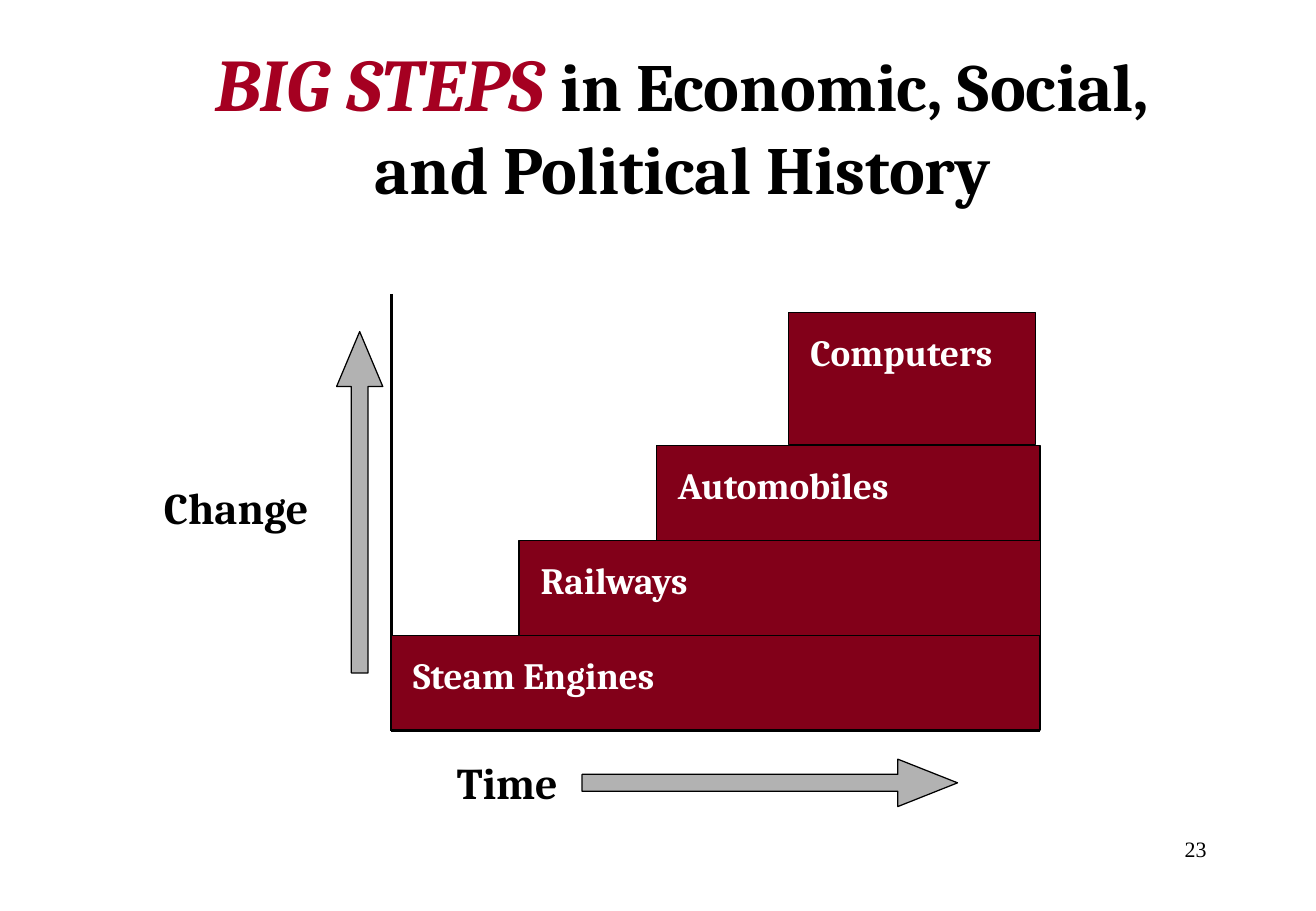
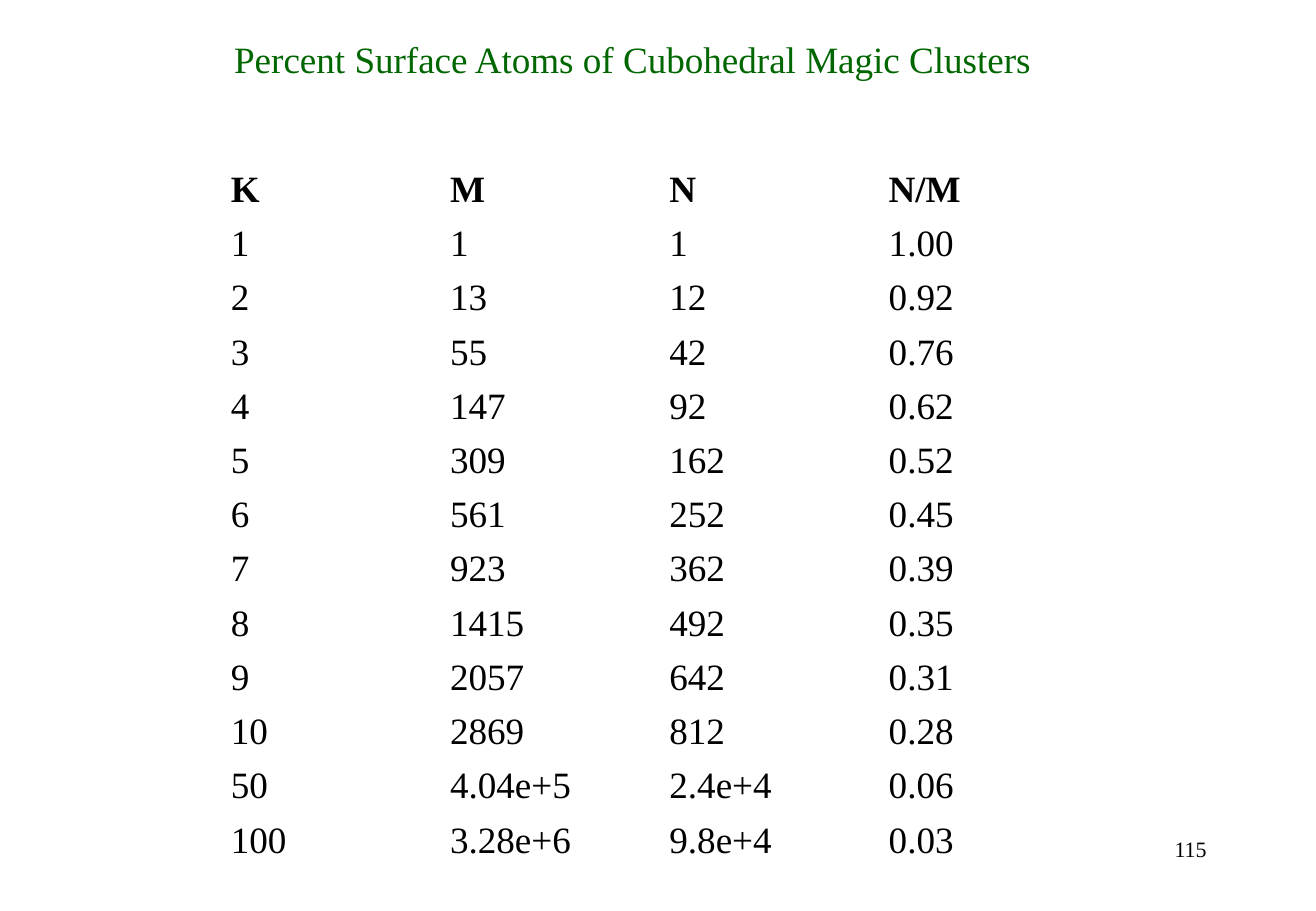
from dataclasses import dataclass

from lxml.etree import SubElement
from pptx import Presentation
from pptx.dml.color import RGBColor as Rgb
from pptx.enum.shapes import MSO_CONNECTOR as Conn, MSO_SHAPE as Form
from pptx.enum.text import MSO_ANCHOR as Anchor, PP_ALIGN as Align
from pptx.oxml.ns import qn
from pptx.util import Inches, Pt


@dataclass(frozen=True)
class Theme:
    serif: str = "Cambria"
    roman: str = "Times New Roman"
    black: str = "000000"
    white: str = "FFFFFF"
    wine: str = "820019"
    red: str = "A50021"
    gray: str = "B2B2B2"
    green: str = "006600"
    big: int = 44
    head: int = 40
    label: int = 26
    body: int = 22
    foot: int = 13
    thin: float = 0.75
    axis: float = 1.5


class Deck:
    def __init__(self, theme):
        self.theme = theme
        self.show = Presentation()
        self.show.slide_width = Inches(10.83)
        self.show.slide_height = Inches(7.5)
        self.slide = None

    def page(self, num):
        self.slide = self.show.slides.add_slide(self.show.slide_layouts[6])
        self.text((7.76, 6.83, 2.26, 0.5), str(num), self.theme.foot,
                  self.theme.roman, align=Align.RIGHT)

    def style(self, run, size, face, color, bold=False, slant=False):
        font = run.font
        font.size, font.name = Pt(size), face
        font.bold, font.italic = bold, slant
        font.color.rgb = Rgb.from_string(color)

    def inset(self, frame, left=0.09, top=0.05):
        frame.margin_left, frame.margin_top = Inches(left), Inches(top)
        frame.margin_right, frame.margin_bottom = Inches(0.09), Inches(0.05)
        frame.vertical_anchor = Anchor.TOP

    def text(self, box, words, size, face, color=None, bold=False,
             align=Align.LEFT, left=0.09, wrap=True):
        frame = self.slide.shapes.add_textbox(*map(Inches, box)).text_frame
        frame.word_wrap = wrap
        self.inset(frame, left)
        frame.text = words
        para = frame.paragraphs[0]
        para.alignment = align
        if para.runs:
            self.style(para.runs[0], size, face, color or self.theme.black, bold)
        return para

    def title(self, box, parts):
        para = self.text(box, "", self.theme.head, self.theme.serif,
                         align=Align.CENTER, left=0.43)
        for words, size, color, slant in parts:
            run = para.add_run()
            run.text = words
            self.style(run, size, self.theme.serif, color, True, slant)

    def label(self, box, words):
        self.text(box, words, self.theme.label, self.theme.serif, bold=True)

    def shape(self, form, box, fill):
        shape = self.slide.shapes.add_shape(form, *map(Inches, box))
        shape.shadow.inherit = False
        shape.fill.solid()
        shape.fill.fore_color.rgb = Rgb.from_string(fill)
        shape.line.color.rgb = Rgb.from_string(self.theme.black)
        shape.line.width = Pt(self.theme.thin)
        return shape

    def arrow(self, form, box, head):
        shape = self.shape(form, box, self.theme.gray)
        shape.adjustments[0], shape.adjustments[1] = 0.36, head

    def step(self, box, words):
        frame = self.shape(Form.RECTANGLE, box, self.theme.wine).text_frame
        self.inset(frame, 0.18, 0.14)
        frame.text = words
        para = frame.paragraphs[0]
        para.alignment = Align.LEFT
        self.style(para.runs[0], self.theme.body, self.theme.serif,
                   self.theme.white, True)

    def line(self, *ends):
        line = self.slide.shapes.add_connector(Conn.STRAIGHT, *map(Inches, ends))
        line.line.color.rgb = Rgb.from_string(self.theme.black)
        line.line.width = Pt(self.theme.axis)
        SubElement(line._element.spPr, qn("a:effectLst"))

    def table(self, box, rows):
        grid = self.slide.shapes.add_table(
            len(rows), len(rows[0]), *map(Inches, box)).table
        for col in grid.columns:
            col.width = Inches(box[2] / len(rows[0]))
        for r, row in enumerate(rows):
            grid.rows[r].height = Inches(box[3] / len(rows))
            for c, words in enumerate(row):
                cell = grid.cell(r, c)
                cell.fill.solid()
                cell.fill.fore_color.rgb = Rgb.from_string(self.theme.white)
                cell.margin_left = cell.margin_right = Inches(0.09)
                cell.margin_top = cell.margin_bottom = Inches(0.04)
                cell.vertical_anchor = Anchor.MIDDLE
                cell.text = words
                self.style(cell.text_frame.paragraphs[0].runs[0],
                           self.theme.body, self.theme.roman,
                           self.theme.black, r == 0)


def steps(deck):
    theme = deck.theme
    deck.page(23)
    deck.title((1.27, 0.26, 8.35, 1.49), [
        ("BIG STEPS", theme.big, theme.red, True),
        (" in Economic, Social, and Political History",
         theme.head, theme.black, False),
    ])
    left, base, right = 3.22, 6.02, 8.56
    deck.line(left, 2.42, left, base)
    deck.line(left, base, right, base)
    deck.arrow(Form.UP_ARROW, (2.77, 2.73, 0.38, 2.81), 1.19)
    deck.arrow(Form.RIGHT_ARROW, (4.79, 6.25, 3.09, 0.39), 1.26)
    deck.label((3.67, 6.17, 1.2, 0.52), "Time")
    deck.label((1.26, 3.91, 1.5, 0.52), "Change")
    for words, x, y, end, tall in [
        ("Computers", 6.49, 2.57, 8.52, 1.09),
        ("Automobiles", 5.4, 3.67, right, 0.86),
        ("Railways", 4.27, 4.45, right, 0.94),
        ("Steam Engines", left, 5.23, right, 0.78),
    ]:
        deck.step((x, y, end - x, tall), words)


def atoms(deck):
    theme = deck.theme
    deck.page(115)
    deck.table((1.81, 1.34, 7.22, 5.7), [
        ("K", "M", "N", "N/M"),
        ("1", "1", "1", "1.00"),
        ("2", "13", "12", "0.92"),
        ("3", "55", "42", "0.76"),
        ("4", "147", "92", "0.62"),
        ("5", "309", "162", "0.52"),
        ("6", "561", "252", "0.45"),
        ("7", "923", "362", "0.39"),
        ("8", "1415", "492", "0.35"),
        ("9", "2057", "642", "0.31"),
        ("10", "2869", "812", "0.28"),
        ("50", "4.04e+5", "2.4e+4", "0.06"),
        ("100", "3.28e+6", "9.8e+4", "0.03"),
    ])
    deck.text((1.83, 0.25, 6.75, 0.47),
              "Percent Surface Atoms of Cubohedral Magic Clusters",
              theme.body, theme.roman, theme.green,
              align=Align.CENTER, wrap=False)


def main():
    deck = Deck(Theme())
    steps(deck)
    atoms(deck)
    deck.show.save("out.pptx")


if __name__ == "__main__":
    main()
